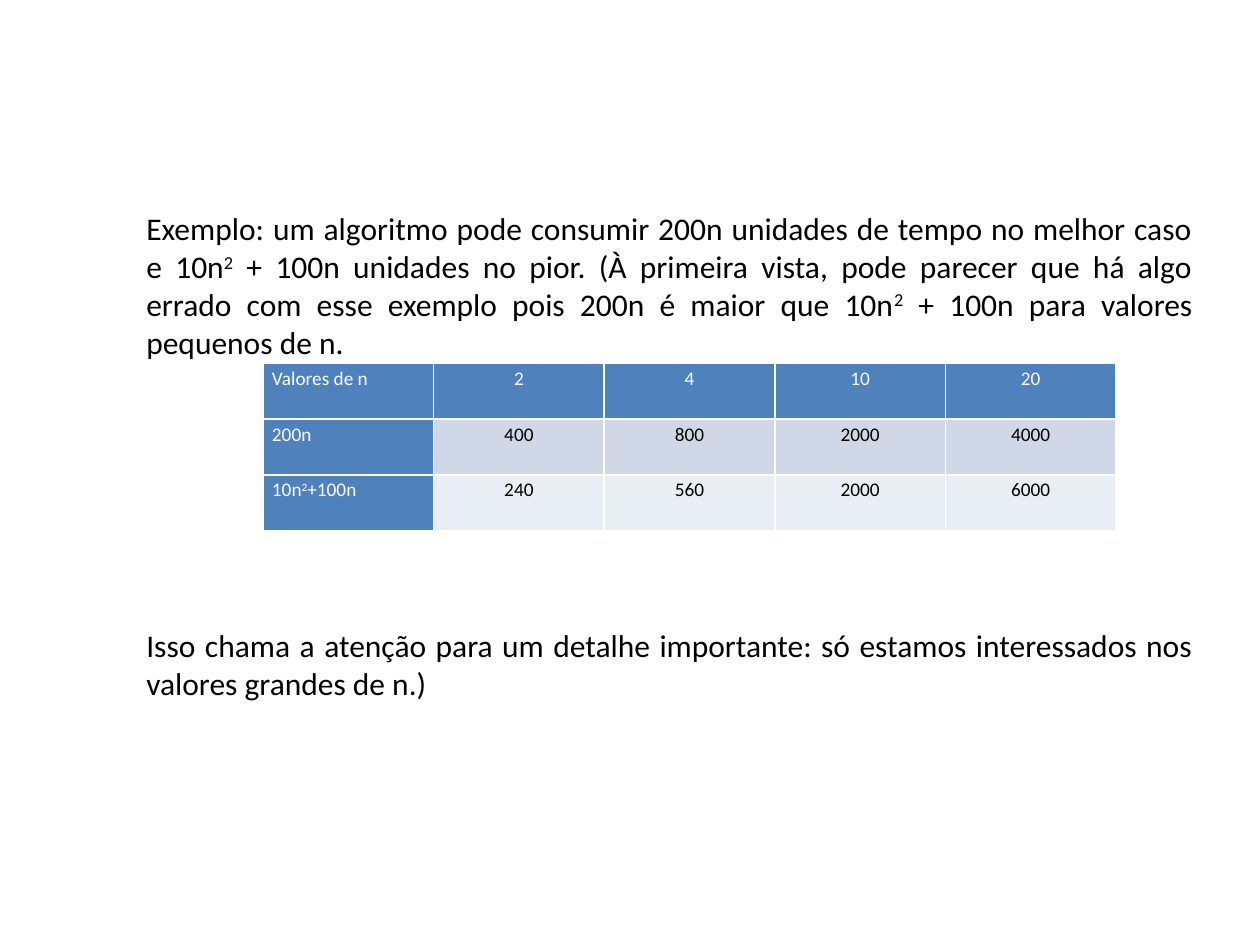
from dataclasses import dataclass

from lxml import etree
from pptx import Presentation
from pptx.dml.color import RGBColor
from pptx.enum.text import MSO_ANCHOR, PP_ALIGN
from pptx.oxml.ns import qn
from pptx.util import Pt

LEFT, CENTER, JUST = PP_ALIGN.LEFT, PP_ALIGN.CENTER, PP_ALIGN.JUSTIFY
TOP = MSO_ANCHOR.TOP
SCALE = 914400 / 126
FONT = "Calibri"
WHITE, BLACK, BLUE = "FFFFFF", "000000", "4F81BD"
BANDS = [BLUE, "D0D8E8", "E9EDF4"]
ROWS = [
    ["Valores de n", "2", "4", "10", "20"],
    ["200n", "400", "800", "2000", "4000"],
    ["10n^2^+100n", "240", "560", "2000", "6000"],
]
INTRO = (
    "Exemplo: um algoritmo pode consumir 200n unidades de tempo no melhor caso "
    "e 10n^2^ + 100n unidades no pior. (À primeira vista, pode parecer que há algo "
    "errado com esse exemplo pois 200n é maior que 10n^2^ + 100n para valores "
    "pequenos de n."
)
CLOSE = (
    "Isso chama a atenção para um detalhe importante: só estamos interessados "
    "nos valores grandes de n.)"
)


@dataclass
class Box:
    """A rectangle in px."""
    x: int
    y: int
    w: int
    h: int


@dataclass
class Style:
    """The look of one paragraph."""
    size: int
    color: str
    align: PP_ALIGN
    lead: float = 1.0
    gap: int = 0


def px(n: float) -> int:
    """Turn px into EMU."""
    return round(n * SCALE)


def rgb(code: str) -> RGBColor:
    """Turn a hex string into a colour."""
    return RGBColor.from_string(code)


def place(box: Box) -> list[int]:
    """Give a box as EMU lengths."""
    return [px(n) for n in (box.x, box.y, box.w, box.h)]


def write(para, text: str, style: Style) -> None:
    """Fill a paragraph, raising the parts between carets."""
    para.alignment = style.align
    para.line_spacing = style.lead
    para.space_before = Pt(style.gap)
    for i, part in enumerate(text.split("^")):
        run = para.add_run()
        run.text = part
        run.font.name = FONT
        run.font.size = Pt(style.size)
        run.font.bold = False
        run.font.color.rgb = rgb(style.color)
        if i % 2:
            run.font._element.set("baseline", "30000")


def edge(cell, color: str, width: float) -> None:
    """Draw the four borders of a cell."""
    props = cell._tc.get_or_add_tcPr()
    for side in ("a:lnL", "a:lnR", "a:lnT", "a:lnB"):
        line = etree.SubElement(props, qn(side), w=str(Pt(width)))
        fill = etree.SubElement(line, qn("a:solidFill"))
        etree.SubElement(fill, qn("a:srgbClr"), val=color)


def draw_text(slide, box: Box) -> None:
    """Add the two paragraphs around the table."""
    frame = slide.shapes.add_textbox(*place(box)).text_frame
    frame.word_wrap = True
    write(frame.paragraphs[0], INTRO, Style(18, BLACK, JUST))
    write(frame.add_paragraph(), CLOSE, Style(18, BLACK, JUST, gap=152))


def draw_table(slide, box: Box) -> None:
    """Add the table of values."""
    count = len(ROWS[0])
    table = slide.shapes.add_table(len(ROWS), count, *place(box)).table
    table.first_col = True
    for r, row in enumerate(ROWS):
        for c, text in enumerate(row):
            cell = table.cell(r, c)
            cell.margin_left = cell.margin_right = px(9)
            cell.margin_top = cell.margin_bottom = 0
            cell.vertical_anchor = TOP
            edge(cell, WHITE, 1)
            cell.fill.solid()
            cell.fill.fore_color.rgb = rgb(BANDS[r] if c else BLUE)
            color = BLACK if r and c else WHITE
            style = Style(11, color, CENTER if c else LEFT, 1.15)
            write(cell.text_frame.paragraphs[0], text, style)


def main() -> None:
    """Build and save the slide."""
    deck = Presentation()
    deck.slide_width, deck.slide_height = px(1260), px(945)
    slide = deck.slides.add_slide(deck.slide_layouts[6])
    draw_text(slide, Box(134, 203, 1071, 509))
    draw_table(slide, Box(263, 363, 853, 168))
    deck.save("out.pptx")


if __name__ == "__main__":
    main()
